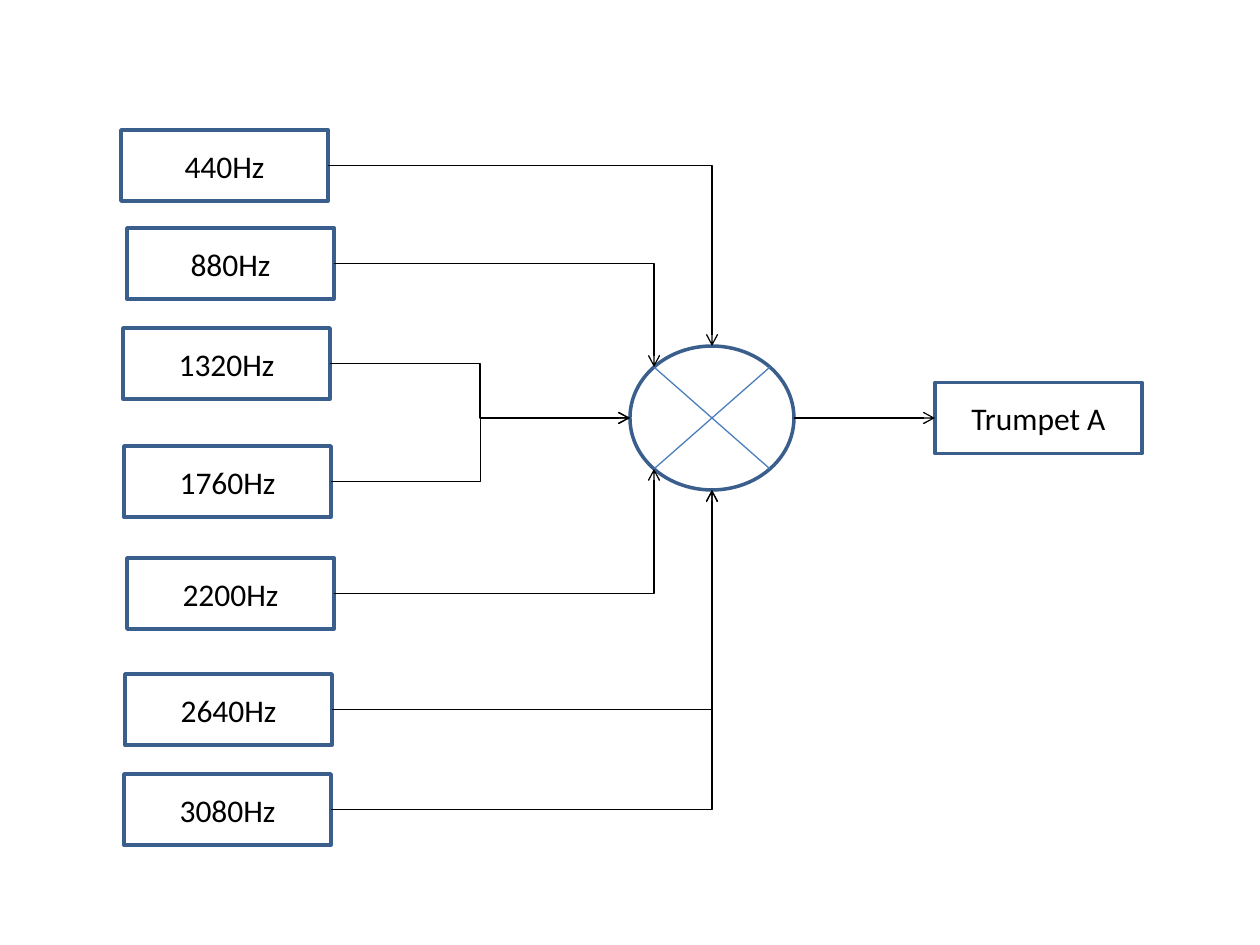
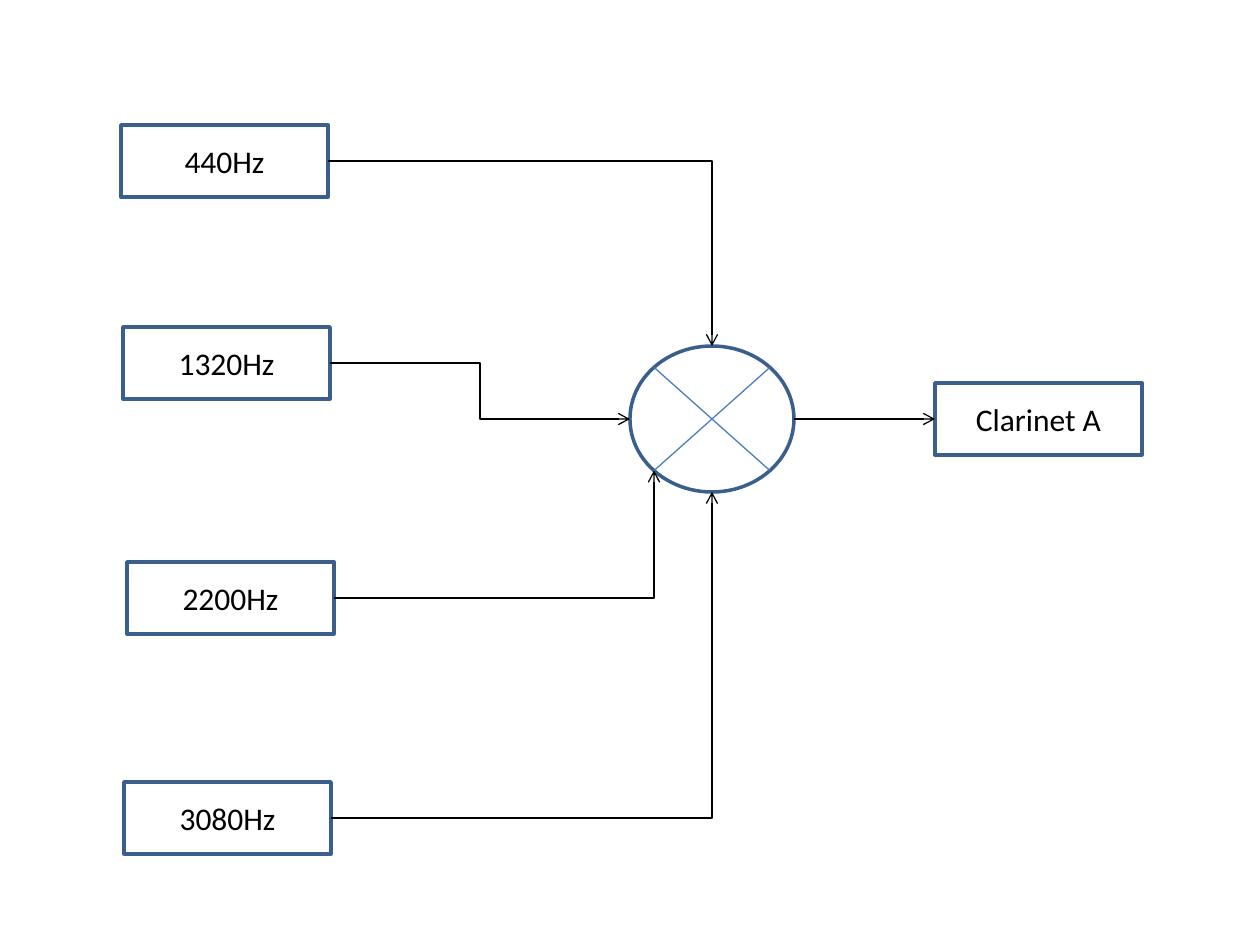
"""Build two slides that mix harmonics into an instrument's tone."""
import math
from dataclasses import dataclass

import pptx
import pptx.dml.color
import pptx.enum.shapes
import pptx.enum.text
import pptx.oxml
import pptx.oxml.ns
import pptx.util
from lxml import etree

PX = 914400 / 126
RGB = pptx.dml.color.RGBColor.from_string
KIND = pptx.enum.shapes.MSO_SHAPE
LINK = pptx.enum.shapes.MSO_CONNECTOR
qn = pptx.oxml.ns.qn


@dataclass(frozen=True)
class Theme:
    paper: str = "FFFFFF"
    edge: str = "3A5F8C"
    cross: str = "4B7EBC"
    ink: str = "000000"
    font: str = "Calibri"
    size: int = 18
    frame: float = 2
    thin: float = 0.75


theme = Theme()


def add_node(slide, kind, place, text=""):
    node = slide.shapes.add_shape(kind, *(round(n * PX) for n in place))
    node.shadow.inherit = False
    node.fill.solid()
    node.fill.fore_color.rgb = RGB(theme.paper)
    node.line.color.rgb = RGB(theme.edge)
    node.line.width = pptx.util.Pt(theme.frame)
    if text:
        frame = node.text_frame
        frame.vertical_anchor = pptx.enum.text.MSO_ANCHOR.MIDDLE
        line = frame.paragraphs[0]
        line.text = text
        line.alignment = pptx.enum.text.PP_ALIGN.CENTER
        line.font.name = theme.font
        line.font.size = pptx.util.Pt(theme.size)
        line.font.color.rgb = RGB(theme.ink)
    return node


def add_wire(slide, kind, start, end, color, arrow=True):
    wire = slide.shapes.add_connector(kind, *(round(n * PX) for n in (*start, *end)))
    wire.line.color.rgb = RGB(color)
    wire.line.width = pptx.util.Pt(theme.thin)
    props = wire.element.spPr
    if arrow:
        etree.SubElement(props.find(qn("a:ln")), qn("a:tailEnd"), type="arrow")
    etree.SubElement(props, qn("a:effectLst"))
    return wire


deck = pptx.Presentation()
deck.slide_width = round(1260 * PX)
deck.slide_height = round(945 * PX)

wide = 207
left, round_w = 630, 164
goal = 935

tones = [
    ("Trumpet A", 71, 346, 144, [
        ("440Hz", 121, 130, "top"),
        ("880Hz", 127, 228, "upper"),
        ("1320Hz", 123, 328, "side"),
        ("1760Hz", 124, 446, "side"),
        ("2200Hz", 127, 558, "lower"),
        ("2640Hz", 125, 674, "base"),
        ("3080Hz", 124, 774, "base"),
    ]),
    ("Clarinet A", 72, 346, 146, [
        ("440Hz", 121, 125, "top"),
        ("1320Hz", 123, 327, "side"),
        ("2200Hz", 127, 562, "lower"),
        ("3080Hz", 124, 782, "base"),
    ]),
]

for name, high, top, round_h, waves in tones:
    slide = deck.slides.add_slide(deck.slide_layouts[6])
    mid_x, mid_y = left + round_w / 2, top + round_h / 2
    dx, dy = (n / 2 * math.sqrt(0.5) for n in (round_w, round_h))
    ports = {
        "top": (mid_x, top),
        "upper": (mid_x - dx, mid_y - dy),
        "side": (left, mid_y),
        "lower": (mid_x - dx, mid_y + dy),
        "base": (mid_x, top + round_h),
    }

    add_node(slide, KIND.OVAL, (left, top, round_w, round_h))
    for sign in (1, -1):
        add_wire(slide, LINK.STRAIGHT, (mid_x - dx, mid_y - sign * dy),
                 (mid_x + dx, mid_y + sign * dy), theme.cross, arrow=False)

    for wave, x, y, port in waves:
        add_node(slide, KIND.RECTANGLE, (x, y, wide, high), wave)
        wire = add_wire(slide, LINK.ELBOW, (x + wide, y + high / 2), ports[port], theme.ink)
        if port != "side":
            wire.element.spPr.find(qn("a:prstGeom")).set("prst", "bentConnector2")

    sound = add_node(slide, KIND.RECTANGLE, (goal, mid_y - high / 2, wide, high), name)
    wire = add_wire(slide, LINK.STRAIGHT, (left + round_w, mid_y), (goal, mid_y), theme.ink)
    wire.end_connect(sound, 1)

deck.save("out.pptx")
